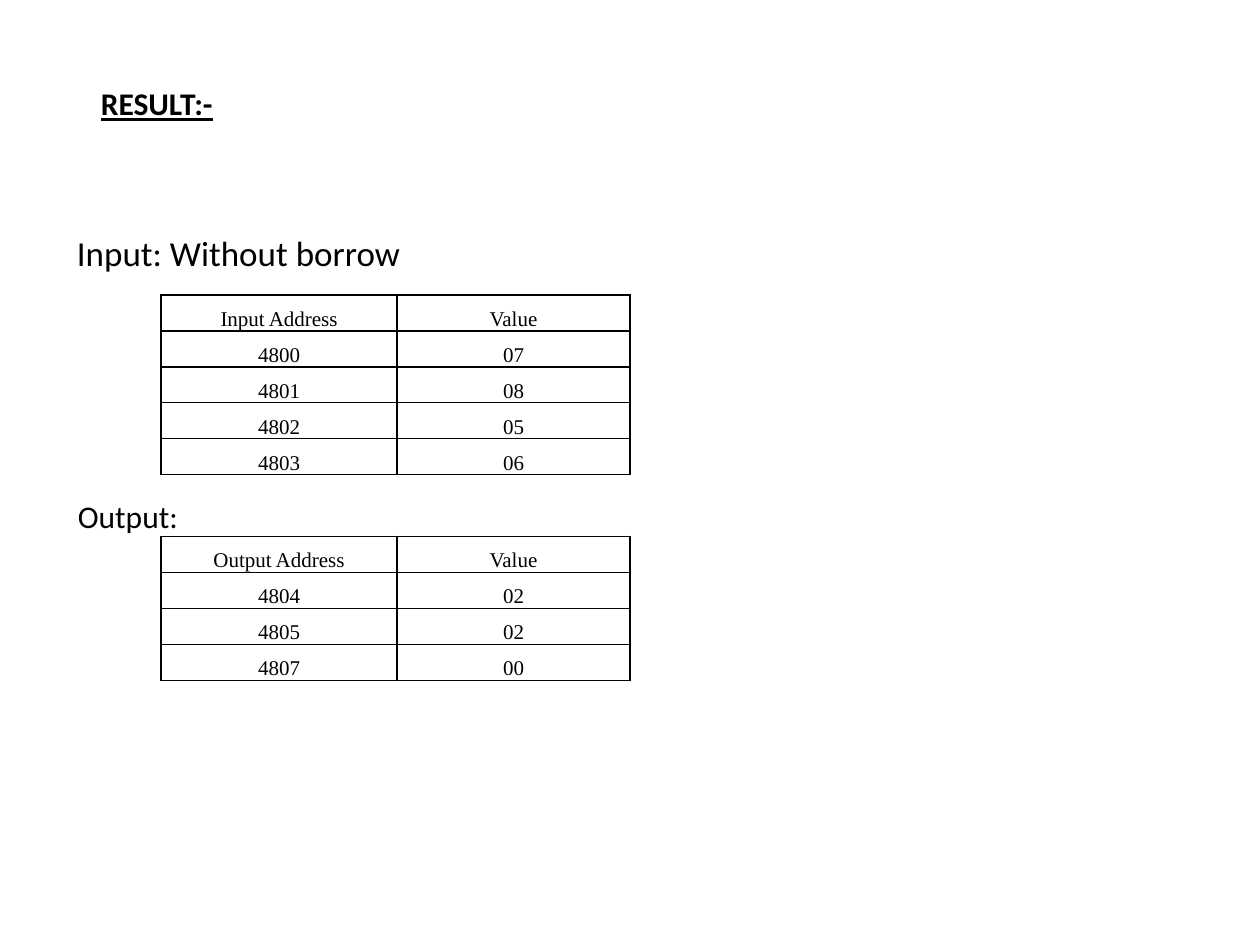
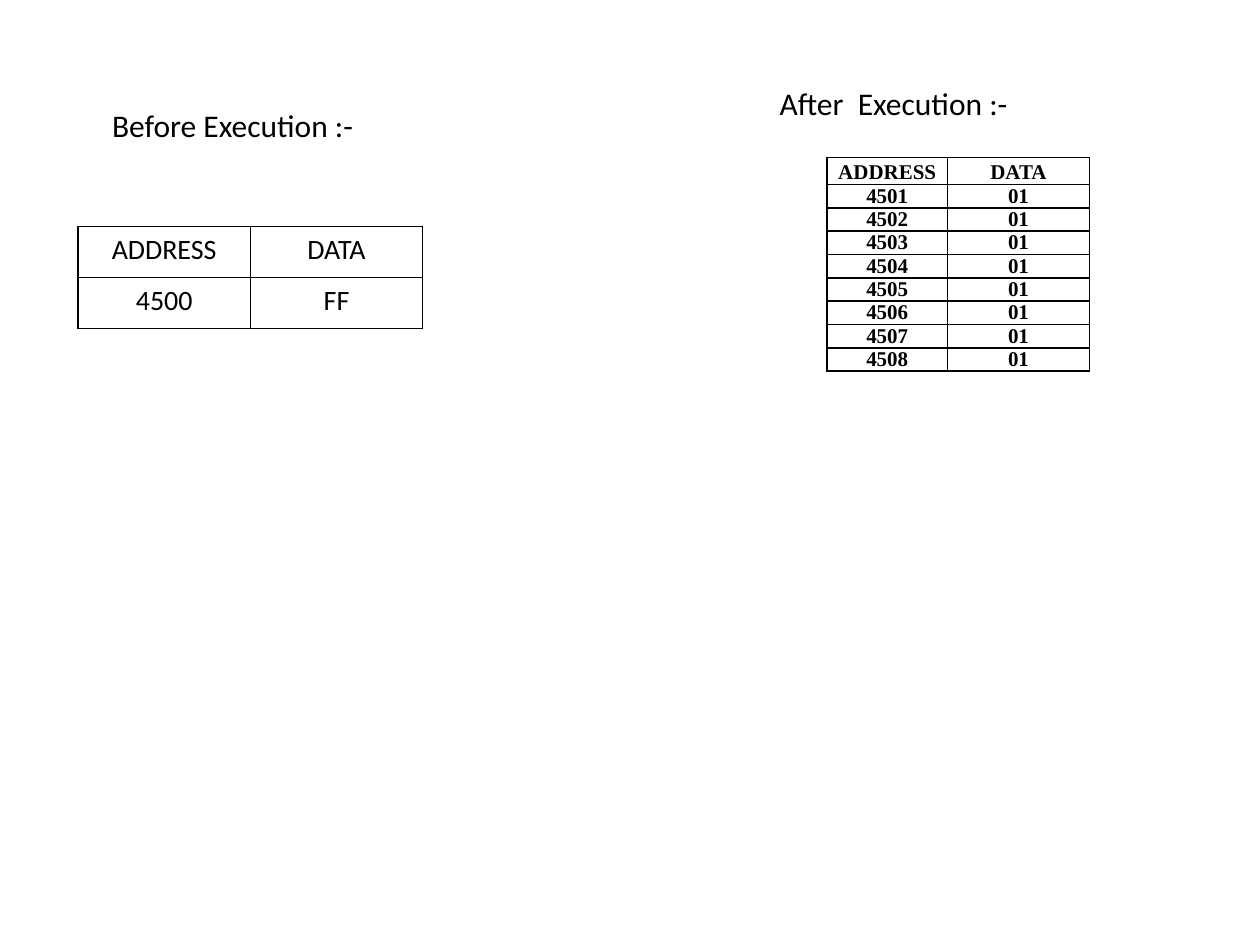
from dataclasses import dataclass, field

from lxml.etree import SubElement
from pptx import Presentation
from pptx.dml.color import RGBColor
from pptx.enum.text import MSO_ANCHOR, MSO_AUTO_SIZE, PP_ALIGN
from pptx.oxml.ns import qn
from pptx.shapes.base import BaseShape
from pptx.slide import Slide
from pptx.table import Table, _Cell as Cell
from pptx.util import Length, Pt

BLACK = RGBColor(0, 0, 0)
SANS = "Calibri"
SERIF = "Times New Roman"
TITLE_ONLY, BLANK = 5, 6
NO_STYLE = "{2D5ABB26-0587-4C30-8999-92F81FD0307C}"
BORDER = Pt(1)
ALL_SIDES = "LRTB"


@dataclass(frozen=True)
class Heading:
    text: str
    left: float
    top: float
    width: float
    height: float = 29
    size: float = 18
    emphasis: bool = False
    wrap: bool = False
    inset_left: float = 7.2
    inset_top: float = 3.6


@dataclass(frozen=True)
class Grid:
    left: float
    top: float
    widths: list[float]
    heights: list[float]
    rows: list[tuple[str, ...]]
    font: str
    size: float
    bold: bool = False
    compact: bool = True  # no cell margins, text on the bottom edge
    spacing: Length | float = 1.0
    header_spacing: Length | float = 1.0
    sides: dict[tuple[int, int], str] = field(default_factory=dict)


RESULT = Heading("RESULT:-", 50.4, 44.6, 79, emphasis=True)
INPUT = Heading("Input: Without borrow", 0, 95.8, 297, 134, size=20,
                inset_left=44, inset_top=36.5)
BEFORE = Heading("Before Execution :-", 57, 57, 191.5, wrap=True)
AFTER = Heading("After  Execution :-", 438.5, 44.6, 147)

INPUT_ROWS = [("Input Address", "Value"), ("4800", "07"), ("4801", "08"),
              ("4802", "05"), ("4803", "06")]
OUTPUT_ROWS = [("Output Address", "Value"), ("4804", "02"), ("4805", "02"),
               ("4807", "00")]
OUTPUT_LABEL_ROW = len(INPUT_ROWS)
MEMORY_ROWS = [("", *row) for row in INPUT_ROWS + [("", "")] + OUTPUT_ROWS]
MEMORY_HEIGHTS = [20.57] * len(MEMORY_ROWS)
MEMORY_HEIGHTS[OUTPUT_LABEL_ROW] = 35.4

MEMORY = Grid(
    0, 168.5, [92, 135, 133], MEMORY_HEIGHTS, MEMORY_ROWS, SERIF, 12,
    spacing=Pt(13), header_spacing=Pt(13.4),
    sides={(row, 0): "R" for row in range(len(MEMORY_ROWS))} | {
        (OUTPUT_LABEL_ROW - 1, 1): "LRT",
        (OUTPUT_LABEL_ROW, 0): "",
        (OUTPUT_LABEL_ROW, 1): "",
        (OUTPUT_LABEL_ROW, 2): "TB",
    })
BEFORE_DATA = Grid(44.6, 129.4, [98.5] * 2, [29.2] * 2,
                   [("ADDRESS", "DATA"), ("4500", "FF")], SANS, 16, compact=False)
AFTER_DATA = Grid(
    472.5, 90, [69, 81], [15.5] + [13.35] * 8,
    [("ADDRESS", "DATA")] + [(str(address), "01") for address in range(4501, 4509)],
    SERIF, 12, bold=True, spacing=Pt(13.25), header_spacing=1.15)


def write(paragraph, text: str, font: str, size: float, bold: bool = False) -> None:
    if text:
        paragraph.add_run().text = text
    else:
        SubElement(paragraph._p, qn("a:endParaRPr"), sz=str(int(size * 100)))
    paragraph.font.name = font
    paragraph.font.size = Pt(size)
    paragraph.font.bold = bold
    paragraph.font.color.rgb = BLACK


def format_heading(shape: BaseShape, heading: Heading) -> None:
    shape.left, shape.top = Pt(heading.left), Pt(heading.top)
    shape.width, shape.height = Pt(heading.width), Pt(heading.height)
    frame = shape.text_frame
    frame.word_wrap = heading.wrap
    frame.auto_size = MSO_AUTO_SIZE.NONE
    frame.vertical_anchor = MSO_ANCHOR.TOP
    frame.margin_left, frame.margin_top = Pt(heading.inset_left), Pt(heading.inset_top)
    paragraph = frame.paragraphs[0]
    paragraph.alignment = PP_ALIGN.LEFT
    write(paragraph, heading.text, SANS, heading.size, heading.emphasis)
    paragraph.font.underline = heading.emphasis


def add_heading(slide: Slide, heading: Heading) -> None:
    format_heading(slide.shapes.add_textbox(0, 0, 0, 0), heading)


def draw_borders(cell: Cell, sides: str) -> None:
    properties = cell._tc.get_or_add_tcPr()
    for side in sides:
        line = SubElement(properties, qn(f"a:ln{side}"), w=str(BORDER))
        fill = SubElement(line, qn("a:solidFill"))
        SubElement(fill, qn("a:srgbClr"), val=str(BLACK))
    cell.fill.background()


def add_grid(slide: Slide, grid: Grid) -> Table:
    table = slide.shapes.add_table(
        len(grid.heights), len(grid.widths), Pt(grid.left), Pt(grid.top),
        Pt(sum(grid.widths)), Pt(sum(grid.heights))).table
    table._tbl.tblPr.find(qn("a:tableStyleId")).text = NO_STYLE
    table.first_row = table.horz_banding = False
    for column, width in zip(table.columns, grid.widths):
        column.width = Pt(width)
    for row_index, (height, values) in enumerate(zip(grid.heights, grid.rows)):
        table.rows[row_index].height = Pt(height)
        for column_index, value in enumerate(values):
            cell = table.cell(row_index, column_index)
            if grid.compact:
                cell.margin_left = cell.margin_right = 0
                cell.margin_top = cell.margin_bottom = 0
                cell.vertical_anchor = MSO_ANCHOR.BOTTOM
            draw_borders(cell, grid.sides.get((row_index, column_index), ALL_SIDES))
            paragraph = cell.text_frame.paragraphs[0]
            paragraph.alignment = PP_ALIGN.CENTER
            paragraph.line_spacing = grid.spacing if row_index else grid.header_spacing
            write(paragraph, value, grid.font, grid.size, grid.bold)
    return table


def add_output_label(table: Table) -> None:
    label = table.cell(OUTPUT_LABEL_ROW, 0)
    label.merge(table.cell(OUTPUT_LABEL_ROW, 1))
    label.margin_left = Pt(44.5)
    paragraph = label.text_frame.paragraphs[0]
    paragraph.clear()
    paragraph.alignment = PP_ALIGN.LEFT
    paragraph.line_spacing = 1.15
    write(paragraph, "Output:", SANS, 18)


def build_result(slide: Slide) -> None:
    format_heading(slide.shapes.title, RESULT)
    add_output_label(add_grid(slide, MEMORY))
    add_heading(slide, INPUT)


def build_execution(slide: Slide) -> None:
    for grid in (AFTER_DATA, BEFORE_DATA):
        add_grid(slide, grid)
    for heading in (BEFORE, AFTER):
        add_heading(slide, heading)


def main() -> None:
    deck = Presentation()
    deck.slide_width, deck.slide_height = Pt(720), Pt(540)
    build_result(deck.slides.add_slide(deck.slide_layouts[TITLE_ONLY]))
    build_execution(deck.slides.add_slide(deck.slide_layouts[BLANK]))
    deck.save("out.pptx")


if __name__ == "__main__":
    main()
